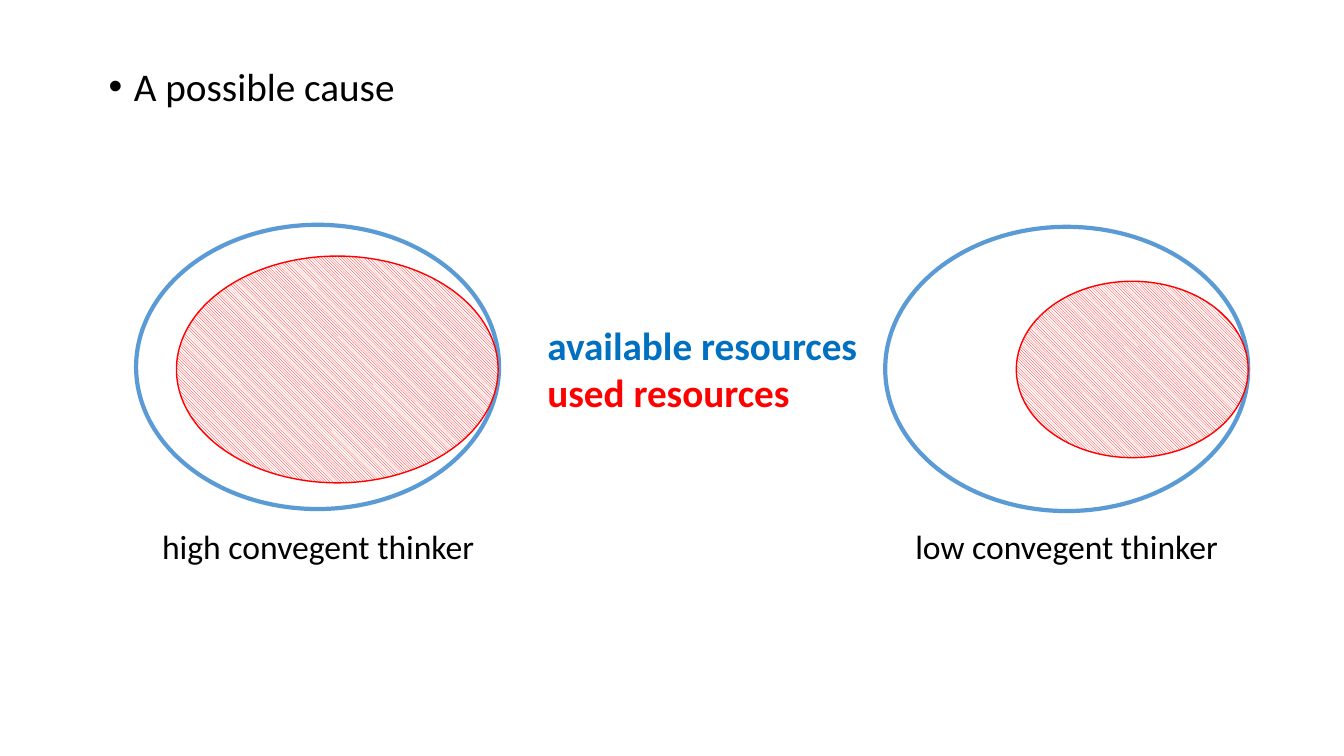
from lxml.etree import SubElement
from pptx import Presentation
from pptx.dml.color import RGBColor
from pptx.enum.dml import MSO_PATTERN
from pptx.enum.shapes import MSO_SHAPE
from pptx.enum.text import MSO_AUTO_SIZE
from pptx.oxml.ns import qn
from pptx.util import Emu, Pt

PX = 9144  # EMU per px, 100 px to the inch
COLORS = {
    "white": "FFFFFF",
    "black": "000000",
    "outline": "5B9BD5",
    "available": "0070C0",
    "used": "FF0000",
}

deck = Presentation()
deck.slide_width, deck.slide_height = Emu(1333 * PX), Emu(750 * PX)
slide = deck.slides.add_slide(deck.slide_layouts[6])


def add_ellipse(box, line_color, line_width, hatched):
    ellipse = slide.shapes.add_shape(MSO_SHAPE.OVAL, *[Emu(n * PX) for n in box])
    ellipse.shadow.inherit = False
    if hatched:
        ellipse.fill.patterned()
        ellipse.fill.pattern = MSO_PATTERN.DARK_DOWNWARD_DIAGONAL
        ellipse.fill.fore_color.rgb = RGBColor.from_string(COLORS["used"])
        ellipse.fill.back_color.rgb = RGBColor.from_string(COLORS["white"])
    else:
        ellipse.fill.solid()
        ellipse.fill.fore_color.rgb = RGBColor.from_string(COLORS["white"])
    ellipse.line.color.rgb = RGBColor.from_string(COLORS[line_color])
    ellipse.line.width = Pt(line_width)


def add_text(box, lines, size, bold=False, wrap=False):
    """Add a text box of (text, color) lines and return its text frame."""
    frame = slide.shapes.add_textbox(*[Emu(n * PX) for n in box]).text_frame
    frame.word_wrap = wrap
    frame.auto_size = MSO_AUTO_SIZE.NONE if wrap else MSO_AUTO_SIZE.SHAPE_TO_FIT_TEXT
    for index, (text, color) in enumerate(lines):
        paragraph = frame.add_paragraph() if index else frame.paragraphs[0]
        run = paragraph.add_run()
        run.text = text
        run.font.name = "Calibri"
        run.font.size = Pt(size)
        run.font.bold = bold
        run.font.color.rgb = RGBColor.from_string(COLORS[color])
    return frame


thinkers = [
    ("high convegent thinker", (135, 223, 360, 282), (175, 254, 319, 225), (151, 517, 330, 50)),
    ("low convegent thinker", (878, 225, 360, 282), (1008, 279, 230, 175), (898, 517, 320, 50)),
]
for caption, available_box, used_box, caption_box in thinkers:
    add_ellipse(available_box, "outline", 3, hatched=False)
    add_ellipse(used_box, "used", 1, hatched=True)
    add_text(caption_box, [(caption, "black")], 24)

legend = [("available resources", "available"), ("used resources", "used")]
add_text((533, 314, 328, 104), legend, 28, bold=True)

heading = add_text((98, 66, 1138, 60), [("A possible cause", "black")], 28, wrap=True).paragraphs[0]
heading.line_spacing = 0.8
heading.space_before = Pt(10)
bullet_props = heading._p.get_or_add_pPr()
bullet_props.set("marL", str(25 * PX))
bullet_props.set("indent", str(-25 * PX))
SubElement(bullet_props, qn("a:buFont"), typeface="Arial")
SubElement(bullet_props, qn("a:buChar"), char="•")

deck.save("out.pptx")
